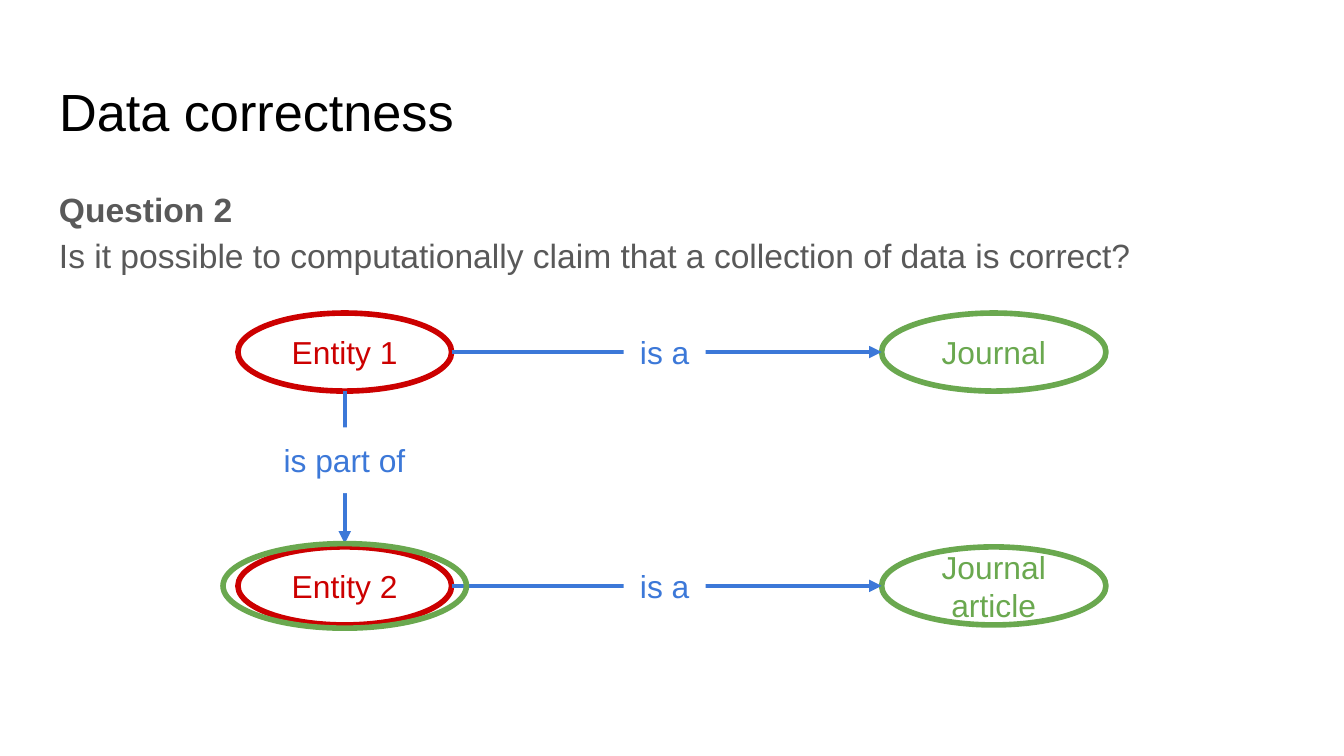
from lxml import etree
from pptx import Presentation
from pptx.dml.color import RGBColor
from pptx.enum.shapes import MSO_CONNECTOR, MSO_SHAPE
from pptx.enum.text import MSO_ANCHOR, MSO_AUTO_SIZE, PP_ALIGN
from pptx.oxml.ns import qn
from pptx.util import Pt

# Content
TITLE = "Data correctness"
QUESTION = [("Question 2", True),
            ("Is it possible to computationally claim that a collection of data is correct?", False)]
STATEMENTS = [("Entity 1", "is a", "Journal"),
              ("Entity 2", "is a", "Journal article")]
PART_RELATION = "is part of"

# Theme and layout, in points
THEME = {
    "font": "Arial", "title_size": 28, "body_size": 18, "node_size": 17,
    "title": "000000", "body": "595959", "entity": "CC0000", "kind": "6AA84F",
    "relation": "3C78D8", "background": "FFFFFF", "outline": 3, "arrow": 2.25,
}
MARGIN, CONTENT_WIDTH, INSET = 24.5, 671, 7.2
ROW_CENTERS = (188.6, 313.9)
ENTITY_CENTER, ENTITY_WIDTH = 184.7, 114.5
KIND_CENTER, KIND_WIDTH = 532.4, 120.2
NODE_HEIGHT, LABEL_HEIGHT = 41.8, 35.3
RING_WIDTH, RING_HEIGHT = 130.4, 45.3
IS_A_CENTER, IS_A_WIDTH = 356.1, 43.9
PART_CENTER, PART_WIDTH = (184.6, 246.6), 86.4


def color(role):
    return RGBColor.from_string(THEME[role])


def write(frame, lines, *, size, role, align=PP_ALIGN.LEFT, anchor=MSO_ANCHOR.TOP,
          spacing=None, after=None):
    """Write (text, bold) lines as one paragraph with line breaks."""
    frame.word_wrap, frame.auto_size = True, MSO_AUTO_SIZE.NONE
    frame.vertical_anchor = anchor
    frame.margin_left = frame.margin_right = Pt(INSET)
    frame.margin_top = frame.margin_bottom = Pt(INSET)
    paragraph = frame.paragraphs[0]
    paragraph.alignment = align
    if spacing:
        paragraph.line_spacing = spacing
    if after:
        paragraph.space_after = Pt(after)
    for index, (text, bold) in enumerate(lines):
        if index:
            paragraph.add_line_break()
        run = paragraph.add_run()
        run.text = text
        run.font.name, run.font.size = THEME["font"], Pt(THEME[size])
        run.font.bold, run.font.color.rgb = bold, color(role)


def add_centered(preset, center, width, height):
    x, y = center
    shape = slide.shapes.add_shape(preset, Pt(x - width / 2), Pt(y - height / 2),
                                   Pt(width), Pt(height))
    shape.shadow.inherit = False
    return shape


def add_ellipse(center, width, height, role, text=None):
    ellipse = add_centered(MSO_SHAPE.OVAL, center, width, height)
    ellipse.fill.background()
    ellipse.line.color.rgb, ellipse.line.width = color(role), Pt(THEME["outline"])
    if text:
        write(ellipse.text_frame, [(text, False)], size="node_size", role=role,
              align=PP_ALIGN.CENTER, anchor=MSO_ANCHOR.MIDDLE)


def add_relation(start, end, text, center, width):
    """Draw an arrow between two points and lay its label over it."""
    ends = [Pt(value) for value in (*start, *end)]
    arrow = slide.shapes.add_connector(MSO_CONNECTOR.STRAIGHT, *ends)
    arrow.line.color.rgb, arrow.line.width = color("relation"), Pt(THEME["arrow"])
    properties = arrow.element.spPr
    etree.SubElement(properties.find(qn("a:ln")), qn("a:tailEnd"), type="triangle")
    etree.SubElement(properties, qn("a:effectLst"))

    label = add_centered(MSO_SHAPE.RECTANGLE, center, width, LABEL_HEIGHT)
    label.fill.solid()
    label.fill.fore_color.rgb = color("background")
    label.line.fill.background()
    write(label.text_frame, [(text, False)], size="node_size", role="relation",
          align=PP_ALIGN.CENTER)


presentation = Presentation()
presentation.slide_width, presentation.slide_height = Pt(720), Pt(405)
slide = presentation.slides.add_slide(presentation.slide_layouts[5])

# Title and question
title = slide.shapes.title
title.left, title.top, title.width, title.height = Pt(MARGIN), Pt(35), Pt(CONTENT_WIDTH), Pt(45)
write(title.text_frame, [(TITLE, False)], size="title_size", role="title")
question = slide.shapes.add_textbox(Pt(MARGIN), Pt(90.7), Pt(CONTENT_WIDTH), Pt(71.3))
write(question.text_frame, QUESTION, size="body_size", role="body", spacing=1.15, after=16)

# One row per statement: entity, relation, kind
entity_right = ENTITY_CENTER + ENTITY_WIDTH / 2
kind_left = KIND_CENTER - KIND_WIDTH / 2
for (entity, relation, kind), y in zip(STATEMENTS, ROW_CENTERS):
    add_ellipse((ENTITY_CENTER, y), ENTITY_WIDTH, NODE_HEIGHT, "entity", entity)
    add_ellipse((KIND_CENTER, y), KIND_WIDTH, NODE_HEIGHT, "kind", kind)
    add_relation((entity_right, y), (kind_left, y), relation, (IS_A_CENTER, y), IS_A_WIDTH)

# Relation from the first entity down to the ring around the second
first_row, last_row = ROW_CENTERS
add_relation((ENTITY_CENTER, first_row + NODE_HEIGHT / 2),
             (ENTITY_CENTER, last_row - RING_HEIGHT / 2),
             PART_RELATION, PART_CENTER, PART_WIDTH)
add_ellipse((ENTITY_CENTER, last_row), RING_WIDTH, RING_HEIGHT, "kind")

presentation.save("out.pptx")
